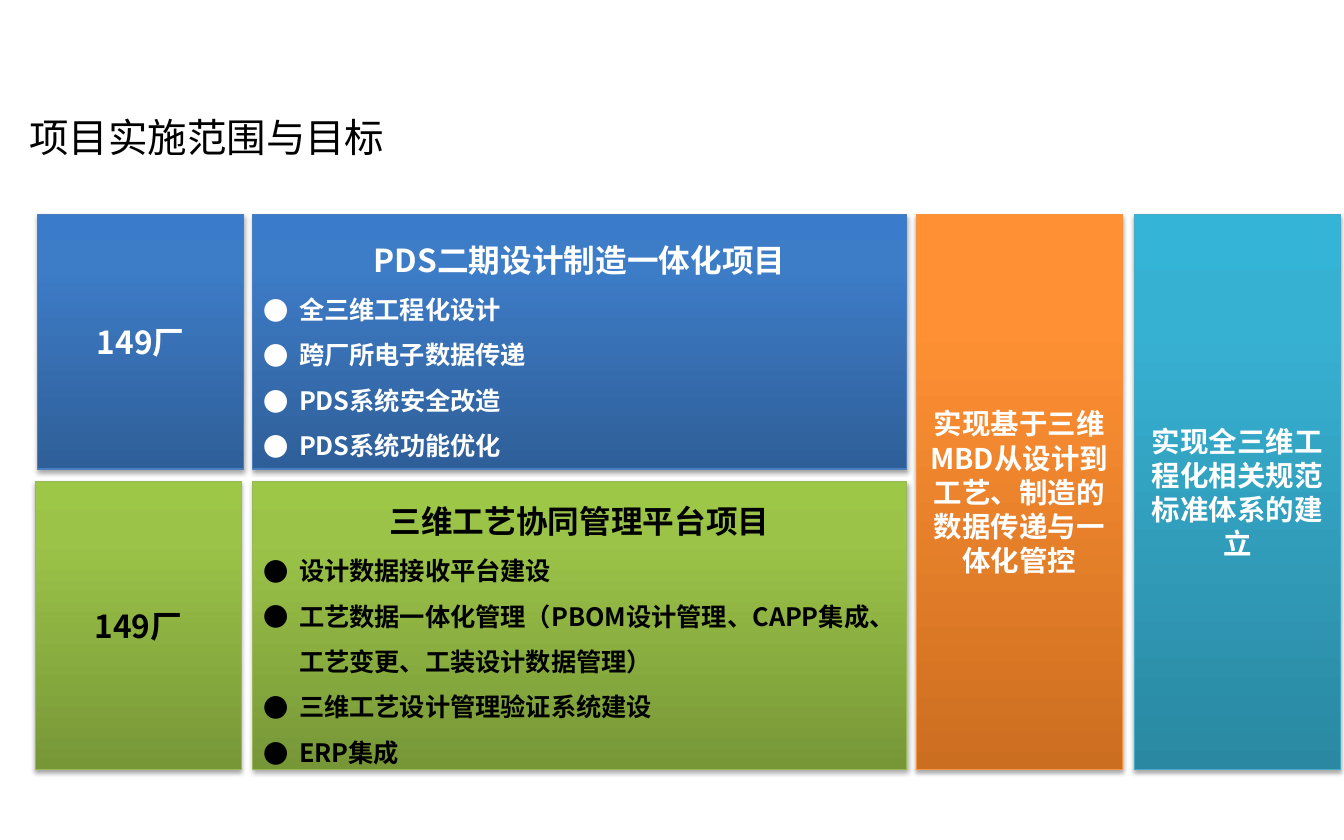
from copy import deepcopy

from lxml import etree
from pptx import Presentation
from pptx import util as u
from pptx.dml.color import RGBColor
from pptx.enum import shapes, text
from pptx.oxml import ns

FACE = "Noto Sans CJK SC"
HUES = {
    "black": "000000",
    "white": "FFFFFF",
    "blue": ("2F5F99", "3D7CC7", "3A7CCB", "4B7EBC"),
    "green": ("779737", "9BC348", "9DC746", "98B955"),
    "orange": ("CC6E20", "FF9034", "FF9136", "F69240"),
    "teal": ("2A88A2", "37B1D2", "34B4D6", "46AAC5"),
}
STOPS = (0, 0.8, 1)
TOP, LOW, END = 4.78, 10.74, 17.18
HIGH, DEEP, FULL = 5.69, END - LOW, END - TOP
SIDE, MAIN = 4.6, 14.6
INDENT = 0.79

PLANS = [
    ("blue", "white", 0.84, TOP, HIGH, "149厂", "PDS二期设计制造一体化项目",
     ["全三维工程化设计", "跨厂所电子数据传递", "PDS系统安全改造", "PDS系统功能优化"]),
    ("green", "black", 0.79, LOW, DEEP, "149厂", "三维工艺协同管理平台项目",
     ["设计数据接收平台建设",
      "工艺数据一体化管理（PBOM设计管理、CAPP集成、工艺变更、工装设计数据管理）",
      "三维工艺设计管理验证系统建设", "ERP集成"]),
]
GOALS = [
    ("orange", 20.45, "实现基于三维MBD从设计到工艺、制造的数据传递与一体化管控"),
    ("teal", 25.32, "实现全三维工程化相关规范标准体系的建立"),
]


def put(item, **values):
    """Set each attribute of an item from the given values."""
    for key, value in values.items():
        setattr(item, key, value)


def add_tag(parent, tag, **values):
    """Append a drawing element with its attributes."""
    return etree.SubElement(parent, ns.qn(tag), {k: str(v) for k, v in values.items()})


def write(para, words, size, hue, bold=True, **layout):
    """Write one run into a paragraph with its layout."""
    put(para, **layout)
    run = para.add_run()
    run.text = words
    put(run.font, size=u.Pt(size), bold=bold, name=FACE)
    run.font.color.rgb = RGBColor.from_string(HUES[hue])
    add_tag(run.font._element, "a:ea", typeface=FACE)


def add_point(frame, words, hue):
    """Add one bulleted line to a text frame."""
    para = frame.add_paragraph()
    write(para, words, 16, hue, alignment=text.PP_ALIGN.LEFT, line_spacing=1.5)
    props = para._p.get_or_add_pPr()
    props.set("marL", str(u.Cm(INDENT)))
    props.set("indent", str(-u.Cm(INDENT)))
    add_tag(props, "a:buFont", typeface=FACE)
    add_tag(props, "a:buChar", char="●")


def add_shade(block):
    """Give a block its soft shadow below."""
    block.shadow.inherit = False
    effects = block._element.spPr.find(ns.qn("a:effectLst"))
    shade = add_tag(effects, "a:outerShdw", blurRad=u.Pt(3.1), dist=u.Pt(1.8),
                    dir=5400000, rotWithShape=0)
    color = add_tag(shade, "a:srgbClr", val=HUES["black"])
    add_tag(color, "a:alpha", val=35000)


def add_block(slide, hue, left, top, width, height):
    """Add a gradient block and return its text frame."""
    block = slide.shapes.add_shape(shapes.MSO_SHAPE.RECTANGLE,
                                   *map(u.Cm, (left, top, width, height)))
    *tones, edge = HUES[hue]
    block.fill.gradient()
    block.fill.gradient_angle = 90
    last = block._element.spPr.findall(".//" + ns.qn("a:gs"))[-1]
    last.addnext(deepcopy(last))
    for stop, place, tone in zip(block.fill.gradient_stops, STOPS, tones):
        stop.position = place
        stop.color.rgb = RGBColor.from_string(tone)
    block.line.color.rgb = RGBColor.from_string(edge)
    block.line.width = u.Pt(0.75)
    add_shade(block)
    put(block.text_frame, word_wrap=True, vertical_anchor=text.MSO_ANCHOR.MIDDLE)
    return block.text_frame


def add_label(slide, hue, ink, box, words, size, **layout):
    """Add a block with a centred first line."""
    frame = add_block(slide, hue, *box)
    write(frame.paragraphs[0], words, size, ink,
          alignment=text.PP_ALIGN.CENTER, **layout)
    return frame


def add_title(slide, words):
    """Place and fill the slide title."""
    title = slide.shapes.title
    put(title, left=u.Cm(0.4), top=u.Cm(2.4), width=u.Cm(27), height=u.Cm(1.3))
    put(title.text_frame, vertical_anchor=text.MSO_ANCHOR.MIDDLE, word_wrap=True,
        auto_size=text.MSO_AUTO_SIZE.NONE)
    write(title.text_frame.paragraphs[0], words, 25, "black", False,
          alignment=text.PP_ALIGN.LEFT)


def main():
    """Build the scope and goals slide."""
    deck = Presentation()
    put(deck, slide_width=u.Cm(30), slide_height=u.Cm(18.75))
    slide = deck.slides.add_slide(deck.slide_layouts[5])
    add_title(slide, "项目实施范围与目标")
    for hue, ink, left, top, height, plant, head, points in PLANS:
        add_label(slide, hue, ink, (left, top, SIDE, height), plant, 20)
        frame = add_label(slide, hue, ink, (5.64, top, MAIN, height), head, 20,
                          line_spacing=1.5)
        for point in points:
            add_point(frame, point, ink)
    for hue, left, goal in GOALS:
        add_label(slide, hue, "white", (left, TOP, SIDE, FULL), goal, 18)
    deck.save("out.pptx")


if __name__ == "__main__":
    main()
